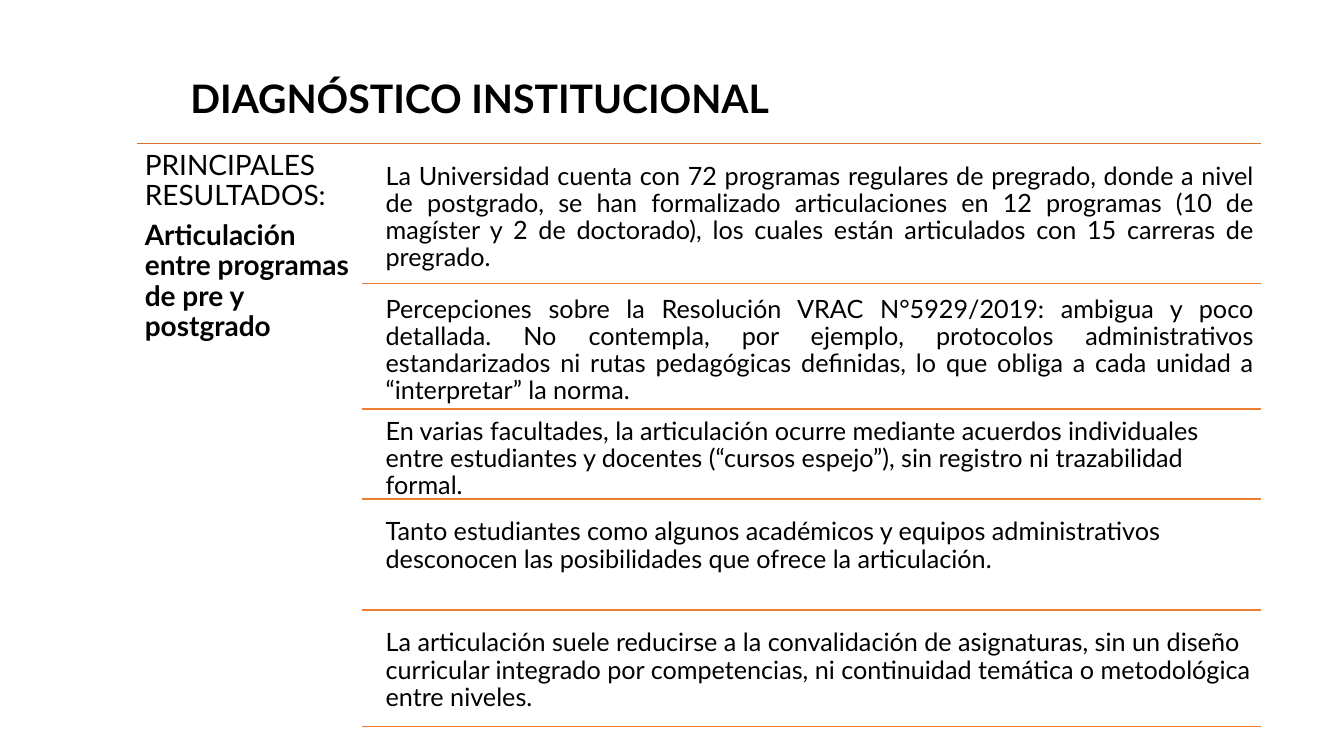
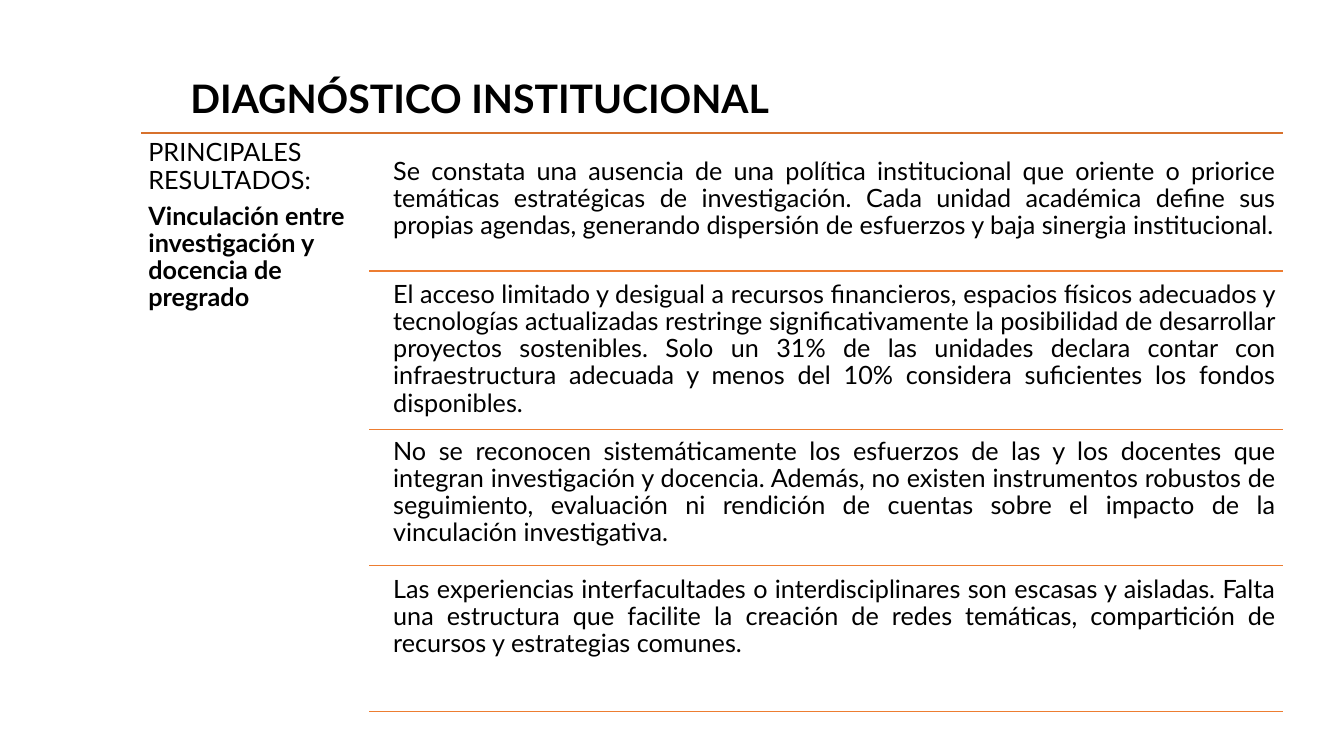
import pptx
import pptx.dml.color
import pptx.enum.shapes
import pptx.enum.text
import pptx.oxml
import pptx.oxml.ns
import pptx.util
from typing import NamedTuple

Cm, Pt = pptx.util.Cm, pptx.util.Pt
RGBColor = pptx.dml.color.RGBColor
LEFT = pptx.enum.text.PP_ALIGN.LEFT
JUSTIFY = pptx.enum.text.PP_ALIGN.JUSTIFY

# Shared style
BLACK = RGBColor(0x00, 0x00, 0x00)
TOP_RULE = RGBColor(0xD7, 0x71, 0x2C)
ROW_RULE = RGBColor(0xED, 0x7D, 0x31)
FONT = "Lato"
TITLE = "DIAGNÓSTICO INSTITUCIONAL"
SIDE_HEADING = "PRINCIPALES RESULTADOS:"
SIDE_HEIGHT = 15.06
ROW_INDENT = 0.42
ROW_SIZE = 18
INSET = 0.18


class Finding(NamedTuple):
    """A row of the list: lengths in cm, rule is the y of the line below."""
    top: float
    height: float
    rule: float
    align: int
    text: str


class Topic(NamedTuple):
    """One slide: side column on the left, findings on the right."""
    left: float
    right: float
    top: float
    side_width: float
    side_size: int
    side_inset: float
    name: str
    findings: list


ARTICULATION = Topic(3.45, 31.78, 3.61, 5.67, 20, 0.2,
                     "Articulación entre programas de pre y postgrado", [
    Finding(3.94, 3.2, 7.14, JUSTIFY,
            "La Universidad cuenta con 72 programas regulares de pregrado, donde a nivel de "
            "postgrado, se han formalizado articulaciones en 12 programas (10 de magíster y 2 de "
            "doctorado), los cuales están articulados con 15 carreras de pregrado."),
    Finding(7.29, 2.82, 10.31, JUSTIFY,
            "Percepciones sobre la Resolución VRAC N°5929/2019: ambigua y poco detallada. No "
            "contempla, por ejemplo, protocolos administrativos estandarizados ni rutas "
            "pedagógicas definidas, lo que obliga a cada unidad a “interpretar” la norma."),
    Finding(10.36, 1.93, 12.57, LEFT,
            "En varias facultades, la articulación ocurre mediante acuerdos individuales entre "
            "estudiantes y docentes (“cursos espejo”), sin registro ni trazabilidad formal."),
    Finding(12.9, 2.46, 15.37, LEFT,
            "Tanto estudiantes como algunos académicos y equipos administrativos desconocen las "
            "posibilidades que ofrece la articulación."),
    Finding(15.7, 2.62, 18.31, LEFT,
            "La articulación suele reducirse a la convalidación de asignaturas, sin un diseño "
            "curricular integrado por competencias, ni continuidad temática o metodológica entre "
            "niveles."),
])

RESEARCH = Topic(3.56, 32.33, 3.35, 5.75, 18, INSET,
                 "Vinculación entre investigación y docencia de pregrado", [
    Finding(3.81, 3.05, 6.83, JUSTIFY,
            "Se constata una ausencia de una política institucional que oriente o priorice "
            "temáticas estratégicas de investigación. Cada unidad académica define sus propias "
            "agendas, generando dispersión de esfuerzos y baja sinergia institucional."),
    Finding(6.91, 3.53, 10.82, JUSTIFY,
            "El acceso limitado y desigual a recursos financieros, espacios físicos adecuados y "
            "tecnologías actualizadas restringe significativamente la posibilidad de desarrollar "
            "proyectos sostenibles. Solo un 31% de las unidades declara contar con "
            "infraestructura adecuada y menos del 10% considera suficientes los fondos "
            "disponibles."),
    Finding(10.87, 3.0, 14.25, JUSTIFY,
            "No se reconocen sistemáticamente los esfuerzos de las y los docentes que integran "
            "investigación y docencia. Además, no existen instrumentos robustos de seguimiento, "
            "evaluación ni rendición de cuentas sobre el impacto de la vinculación investigativa."),
    Finding(14.35, 3.25, 17.93, JUSTIFY,
            "Las experiencias interfacultades o interdisciplinares son escasas y aisladas. Falta "
            "una estructura que facilite la creación de redes temáticas, compartición de recursos "
            "y estrategias comunes."),
])


def add_frame(slide, left, top, width, height, insets):
    """Wrapping text frame; insets are left, top, right, bottom."""
    frame = slide.shapes.add_textbox(Cm(left), Cm(top), Cm(width), Cm(height)).text_frame
    frame.word_wrap = True
    (frame.margin_left, frame.margin_top,
     frame.margin_right, frame.margin_bottom) = map(Cm, insets)
    return frame


def write(paragraph, text, size, bold=False, align=LEFT, spacing=0.9, after=0.35):
    """Fill a paragraph; after is a share of the font size."""
    paragraph.text = text
    paragraph.alignment = align
    paragraph.line_spacing = spacing
    paragraph.space_after = Pt(round(size * after, 1))
    font = paragraph.font
    font.name, font.size, font.bold = FONT, Pt(size), bold
    font.color.rgb = BLACK


def add_rule(slide, left, right, y, color):
    rule = slide.shapes.add_connector(
        pptx.enum.shapes.MSO_CONNECTOR.STRAIGHT, Cm(left), Cm(y), Cm(right), Cm(y))
    rule.line.color.rgb = color
    rule.line.width = Pt(1)
    properties = rule.element.find(pptx.oxml.ns.qn("p:spPr"))
    properties.append(pptx.oxml.parse_xml(
        "<a:effectLst %s/>" % pptx.oxml.ns.nsdecls("a")))


def add_title(slide):
    frame = add_frame(slide, 4.39, 1.14, 27.13, 2.13, (0.41, 0.13, 0.25, 0.13))
    write(frame.paragraphs[0], TITLE, 28, bold=True, spacing=1.5, after=0)


def add_side_column(slide, topic):
    frame = add_frame(slide, topic.left, topic.top, topic.side_width, SIDE_HEIGHT,
                      [topic.side_inset] * 4)
    write(frame.paragraphs[0], SIDE_HEADING, topic.side_size)
    write(frame.add_paragraph(), topic.name, topic.side_size, bold=True)


def add_finding(slide, finding, left, right):
    text_left = left + ROW_INDENT
    frame = add_frame(slide, text_left, finding.top, right - text_left, finding.height,
                      [INSET] * 4)
    write(frame.paragraphs[0], finding.text, ROW_SIZE, align=finding.align)
    add_rule(slide, left, right, finding.rule, ROW_RULE)


def add_topic_slide(deck, topic):
    slide = deck.slides.add_slide(deck.slide_layouts[6])
    add_title(slide)
    add_rule(slide, topic.left, topic.right, topic.top, TOP_RULE)
    add_side_column(slide, topic)
    for finding in topic.findings:
        add_finding(slide, finding, topic.left + topic.side_width, topic.right)


def main():
    deck = pptx.Presentation()
    deck.slide_width, deck.slide_height = Cm(33.87), Cm(19.05)
    for topic in (ARTICULATION, RESEARCH):
        add_topic_slide(deck, topic)
    deck.save("out.pptx")


if __name__ == "__main__":
    main()
